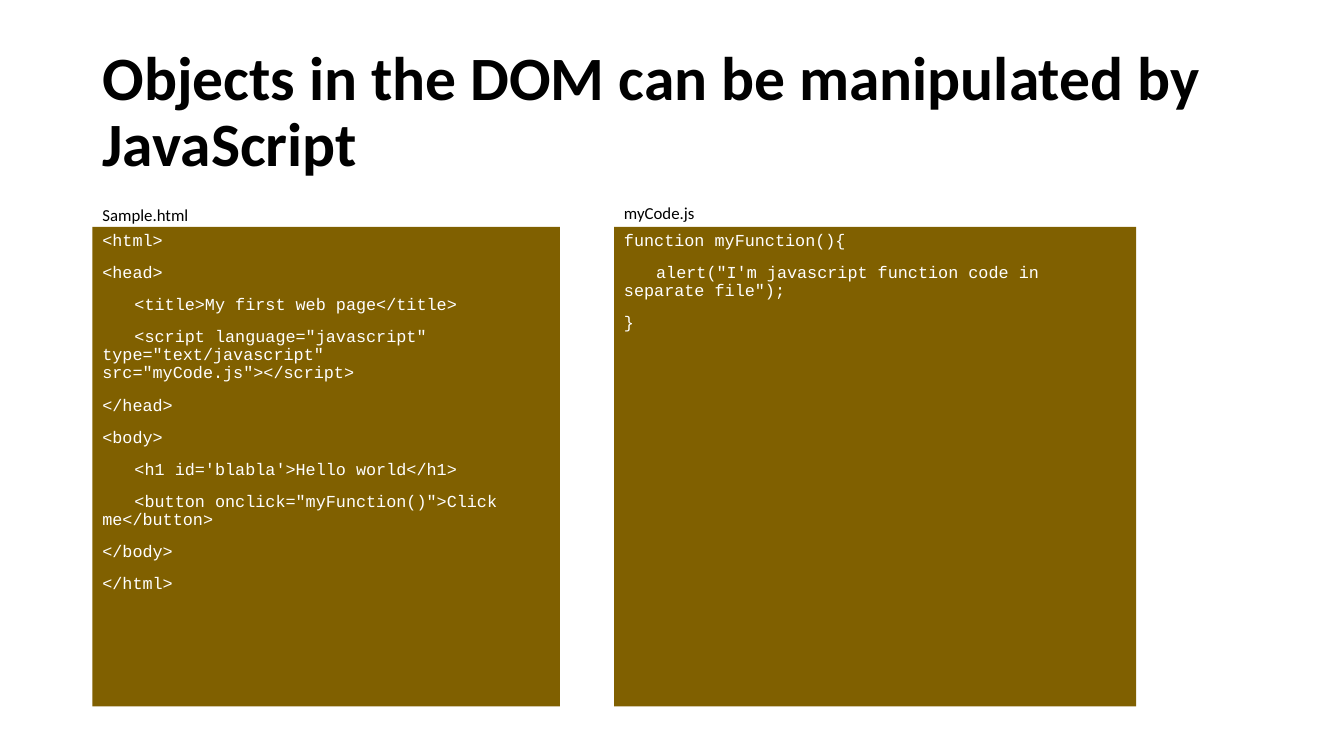
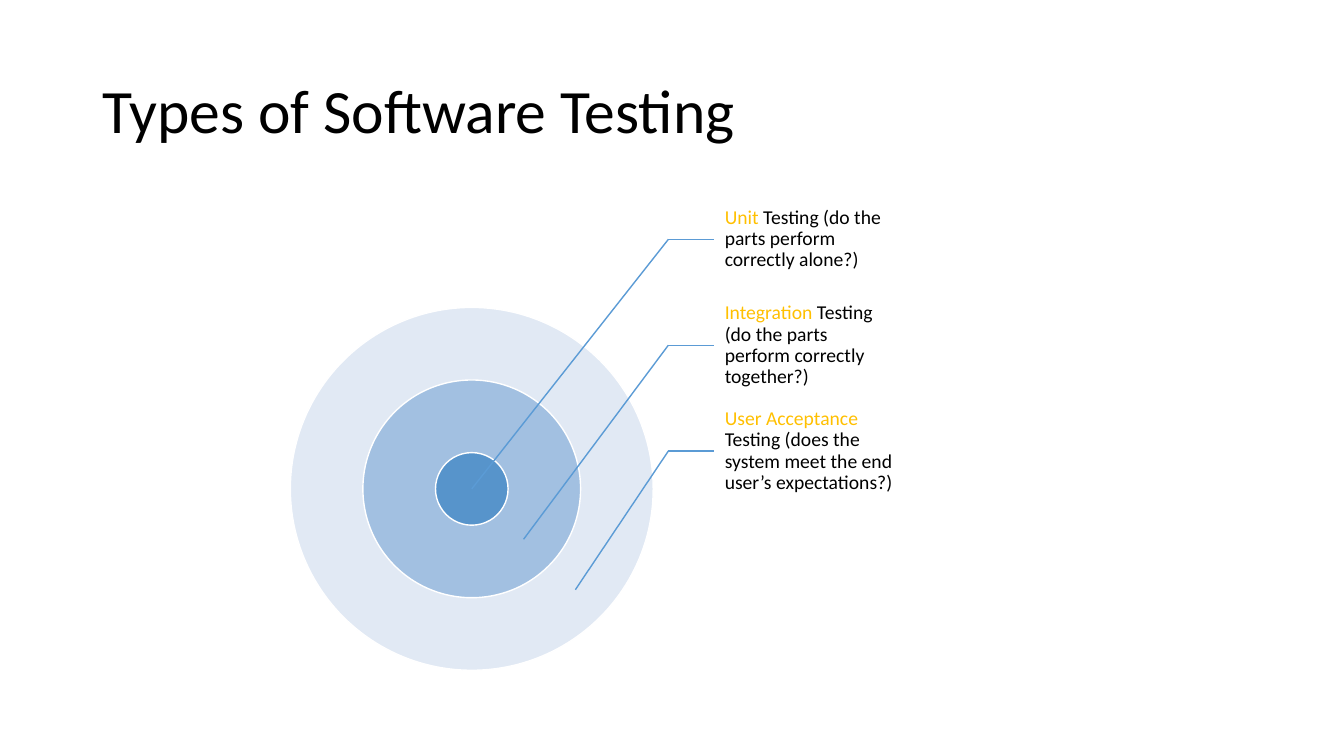
"""Build two slides: DOM code listings and types of software testing."""
from lxml import etree
from pptx import Presentation
from pptx.dml.color import RGBColor
from pptx.enum import shapes, text
from pptx.oxml import ns
from pptx.util import Pt


def rgb(value):
    return RGBColor.from_string(value)


def write(sp, paras, size=12, font="Calibri", color="000000", bold=False,
          before=0, anchor=text.MSO_ANCHOR.TOP, insets=(7.2, 3.6, 7.2, 3.6)):
    tf = sp.text_frame
    tf.word_wrap = True
    tf.auto_size = text.MSO_AUTO_SIZE.NONE
    tf.vertical_anchor = anchor
    tf.margin_left, tf.margin_top, tf.margin_right, tf.margin_bottom = map(Pt, insets)
    for i, para in enumerate(paras):
        p = tf.paragraphs[0] if i == 0 else tf.add_paragraph()
        p.alignment = text.PP_ALIGN.LEFT
        p.line_spacing = 0.9
        p.space_before = Pt(before)
        runs = [(para, color)] if isinstance(para, str) else para
        indent = Pt(23) if runs[0][0].startswith("\t") else 0
        pPr = p._p.get_or_add_pPr()
        pPr.set("marL", "0")
        pPr.set("indent", str(int(indent)))
        etree.SubElement(pPr, ns.qn("a:buNone"))
        for words, run_color in runs:
            r = p.add_run()
            r.text = words.lstrip("\t")
            r.font.size = Pt(size)
            r.font.name = font
            r.font.bold = bold
            r.font.color.rgb = rgb(run_color)


HTML = [
    "<html>",
    "<head>",
    "\t<title>My first web page</title>",
    '\t<script language="javascript" type="text/javascript" src="myCode.js"></script>',
    "</head>",
    "<body>",
    "\t<h1 id='blabla'>Hello world</h1>",
    '\t<button onclick="myFunction()">Click me</button>',
    "</body>",
    "</html>",
]
JS = [
    "function myFunction(){",
    '\talert("I\'m javascript function code in separate file");',
    "}",
]
BLUE, GOLD, BROWN, WHITE, BLACK = "5B9BD5", "FFC000", "806000", "FFFFFF", "000000"

prs = Presentation()
prs.slide_width, prs.slide_height = Pt(960), Pt(540)
titles = [
    (1, "Objects in the DOM can be manipulated by JavaScript", True),
    (5, "Types of Software Testing", False),
]
for layout, title, bold in titles:
    s = prs.slides.add_slide(prs.slide_layouts[layout])
    sp = s.shapes.title
    sp.left, sp.top, sp.width, sp.height = Pt(66), Pt(28.8), Pt(828), Pt(104.4)
    write(sp, [title], size=44, bold=bold, anchor=text.MSO_ANCHOR.MIDDLE)

s = prs.slides[0]
body = s.placeholders[1]
body.left, body.top, body.width, body.height = Pt(66), Pt(144.6), Pt(334), Pt(17.4)
write(body, ["Sample.html"], before=10)
label = s.shapes.add_textbox(Pt(438.6), Pt(142.6), Pt(334), Pt(17.4))
write(label, ["myCode.js"], before=10)
for left, width, code in [(66, 334, HTML), (438.6, 373, JS)]:
    sp = s.shapes.add_shape(shapes.MSO_SHAPE.RECTANGLE, Pt(left), Pt(162), Pt(width), Pt(342.6))
    sp.shadow.inherit = False
    sp.fill.solid()
    sp.fill.fore_color.rgb = rgb(BROWN)
    sp.line.fill.background()
    write(sp, code, font="Courier New", color=WHITE, before=10)

s = prs.slides[1]
cx, cy, unit = 337, 349.2, 51.84
for rings, fill, alpha in [(5, "C5D5EB", 50), (3, "8EB3DB", 75), (1, "5794CB", 100)]:
    d = rings * unit
    sp = s.shapes.add_shape(shapes.MSO_SHAPE.OVAL, Pt(cx - d / 2), Pt(cy - d / 2), Pt(d), Pt(d))
    sp.shadow.inherit = False
    sp.fill.solid()
    sp.fill.fore_color.rgb = rgb(fill)
    sp.line.color.rgb = rgb(WHITE)
    sp.line.width = Pt(1)
    if alpha < 100:
        clr = sp._element.spPr.find(ns.qn("a:solidFill"))[0]
        etree.SubElement(clr, ns.qn("a:alpha")).set("val", str(alpha * 1000))

tests = [
    ("Unit", " Testing (do the parts perform correctly alone?)"),
    ("Integration", " Testing (do the parts perform correctly together?)"),
    ("User Acceptance ", "Testing (does the system meet the end user’s expectations?)"),
]
elbow, left, height = 477.4, 509.8, 75.6
for i, (kind, question) in enumerate(tests):
    top = 133.2 + i * height
    mid = top + height / 2
    label = s.shapes.add_textbox(Pt(left), Pt(top), Pt(129.6), Pt(height))
    write(label, [[(kind, GOLD), (question, BLACK)]], size=14,
          anchor=text.MSO_ANCHOR.MIDDLE, insets=(7.9, 1.4, 1.4, 1.4))
    for x, y in [(left, mid), (cx + 37 * i, cy + 36 * i)]:
        line = s.shapes.add_connector(shapes.MSO_CONNECTOR.STRAIGHT, Pt(elbow), Pt(mid), Pt(x), Pt(y))
        line.line.color.rgb = rgb(BLUE)
        line.line.width = Pt(1)
        etree.SubElement(line._element.spPr, ns.qn("a:effectLst"))
        if x == left:
            line.end_connect(label, 1)

prs.save("out.pptx")
